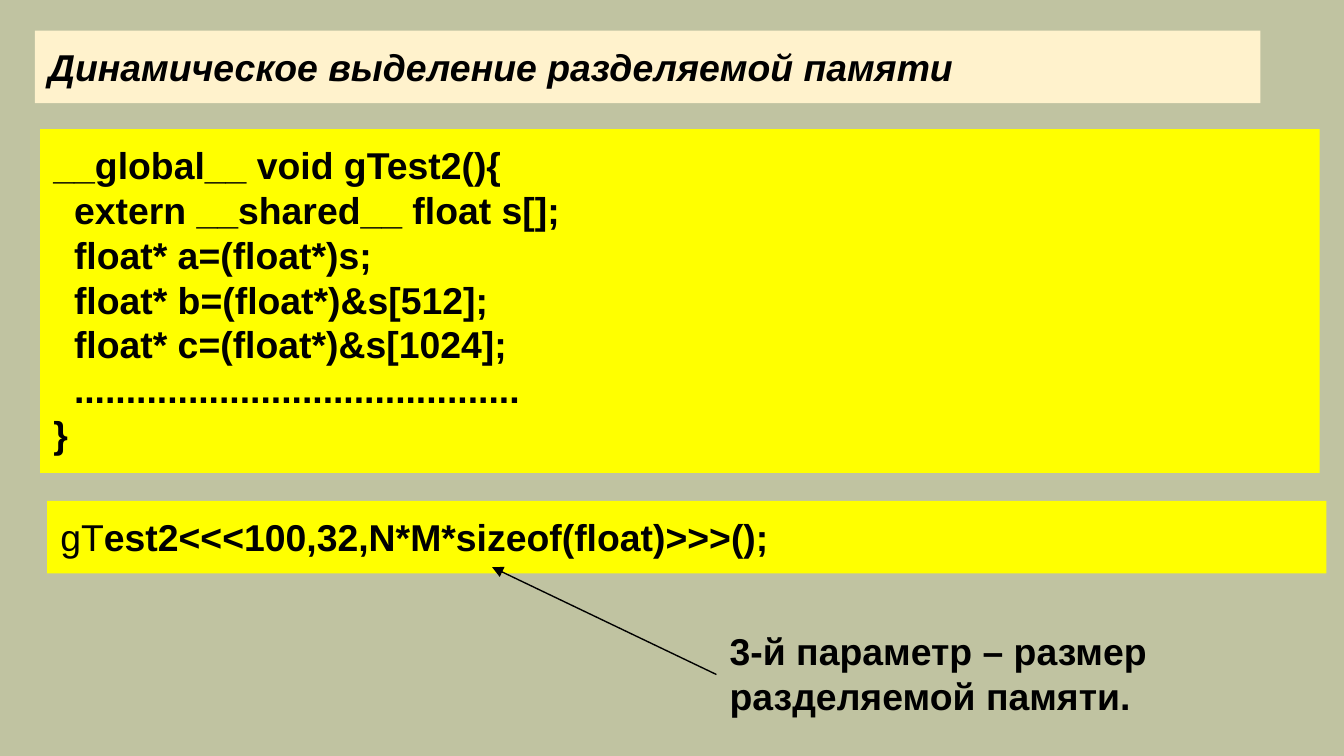
from lxml import etree
from pptx import Presentation
from pptx import util as u
from pptx.dml import color
from pptx.enum import shapes, text
from pptx.oxml import ns

BLACK = "000000"
YELLOW = "FFFF00"


def rgb(value):
    return color.RGBColor.from_string(value)


def add_text(content, left, top, width, height, fill=None, italic=False,
             plain="", indent=0):
    """Add a box with one paragraph per line; lines between the first and
    last are indented, and a plain lead-in opens the first line."""
    place = [u.Cm(value) for value in (left, top, width, height)]
    if fill:
        box = page.shapes.add_shape(shapes.MSO_SHAPE.RECTANGLE, *place)
        box.shadow.inherit = False
        box.fill.solid()
        box.fill.fore_color.rgb = rgb(fill)
        box.line.fill.background()
    else:
        box = page.shapes.add_textbox(*place)
    frame = box.text_frame
    frame.word_wrap = True
    frame.auto_size = text.MSO_AUTO_SIZE.SHAPE_TO_FIT_TEXT
    frame.vertical_anchor = text.MSO_ANCHOR.TOP
    frame.margin_left = frame.margin_right = u.Cm(0.25)
    frame.margin_top = frame.margin_bottom = u.Cm(0.25)

    lines = content.split("\n")
    for number, line in enumerate(lines):
        para = frame.paragraphs[0] if number == 0 else frame.add_paragraph()
        para.alignment = text.PP_ALIGN.LEFT
        if indent and 0 < number < len(lines) - 1:
            para._p.get_or_add_pPr().set("marL", str(u.Cm(indent)))
        lead = plain if number == 0 else ""
        for words, bold in ((lead, False), (line, True)):
            if words:
                span = para.add_run()
                span.text = words
                span.font.name = "Arial"
                span.font.size = u.Pt(20)
                span.font.bold = bold
                span.font.italic = italic
                span.font.color.rgb = rgb(BLACK)
    return box


deck = Presentation()
deck.slide_width, deck.slide_height = u.Cm(25.4), u.Cm(14.29)
page = deck.slides.add_slide(deck.slide_layouts[6])
page.background.fill.solid()
page.background.fill.fore_color.rgb = rgb("C0C3A1")

# Kernel code
kernel = """__global__ void gTest2(){
extern __shared__ float s[];
float* a=(float*)s;
float* b=(float*)&s[512];
float* c=(float*)&s[1024];
...........................................
}"""
add_text(kernel, 0.76, 2.44, 24.18, 6.5, fill=YELLOW, indent=0.39)

# Kernel launch
add_text("est2<<<100,32,N*M*sizeof(float)>>>();", 0.89, 9.47, 24.18, 1.37,
         fill=YELLOW, plain="gT")

# Note on the third launch parameter
note = add_text("3-й параметр – размер\nразделяемой памяти.",
                13.54, 11.63, 9.02, 2.24)

# Arrow from the note to the parameter
arrow = page.shapes.add_connector(shapes.MSO_CONNECTOR.STRAIGHT, u.Cm(13.54),
                                  u.Cm(12.75), u.Cm(9.3), u.Cm(10.72))
arrow.begin_connect(note, 1)
arrow.line.color.rgb = rgb(BLACK)
arrow.line.width = u.Pt(0.75)
etree.SubElement(arrow.line._get_or_add_ln(), ns.qn("a:tailEnd"),
                 type="triangle")
etree.SubElement(arrow._element.spPr, ns.qn("a:effectLst"))

# Title
add_text("Динамическое выделение разделяемой памяти", 0.66, 0.58, 23.16, 1.37,
         fill="FFF2CC", italic=True)

deck.save("out.pptx")
